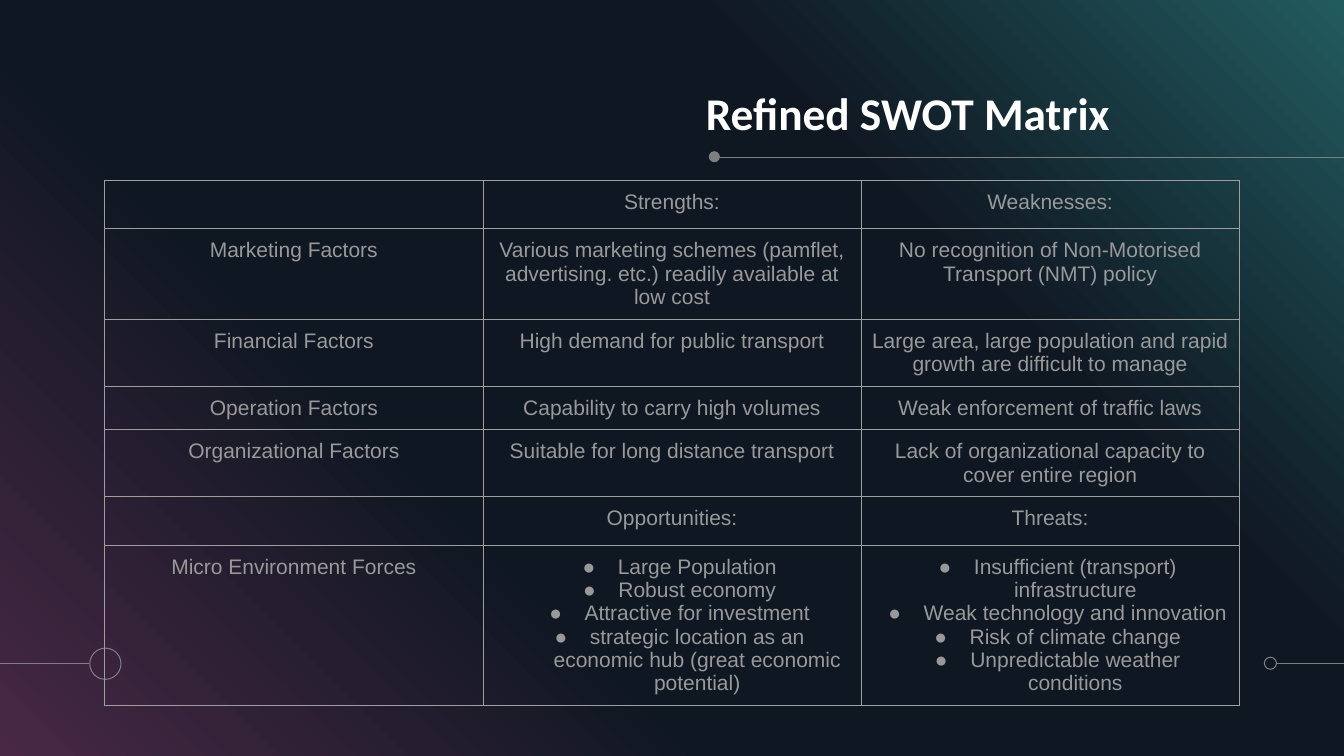
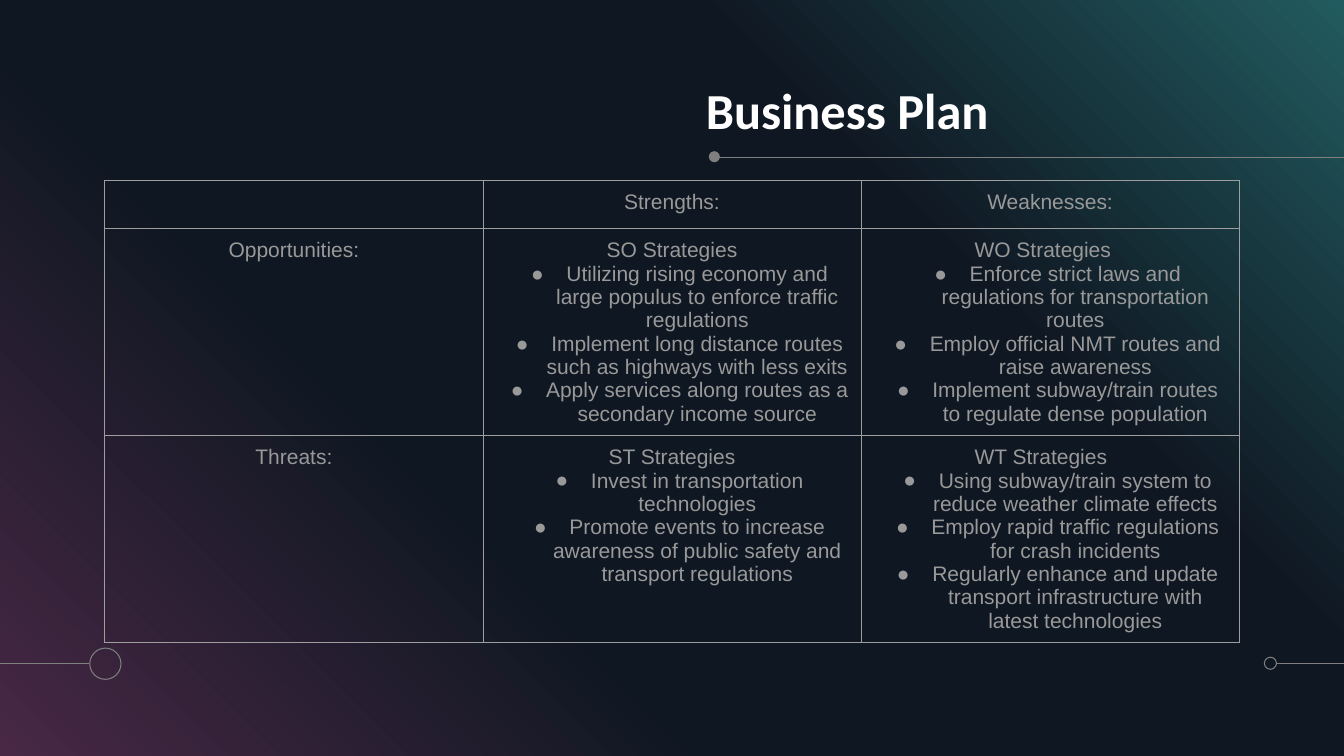
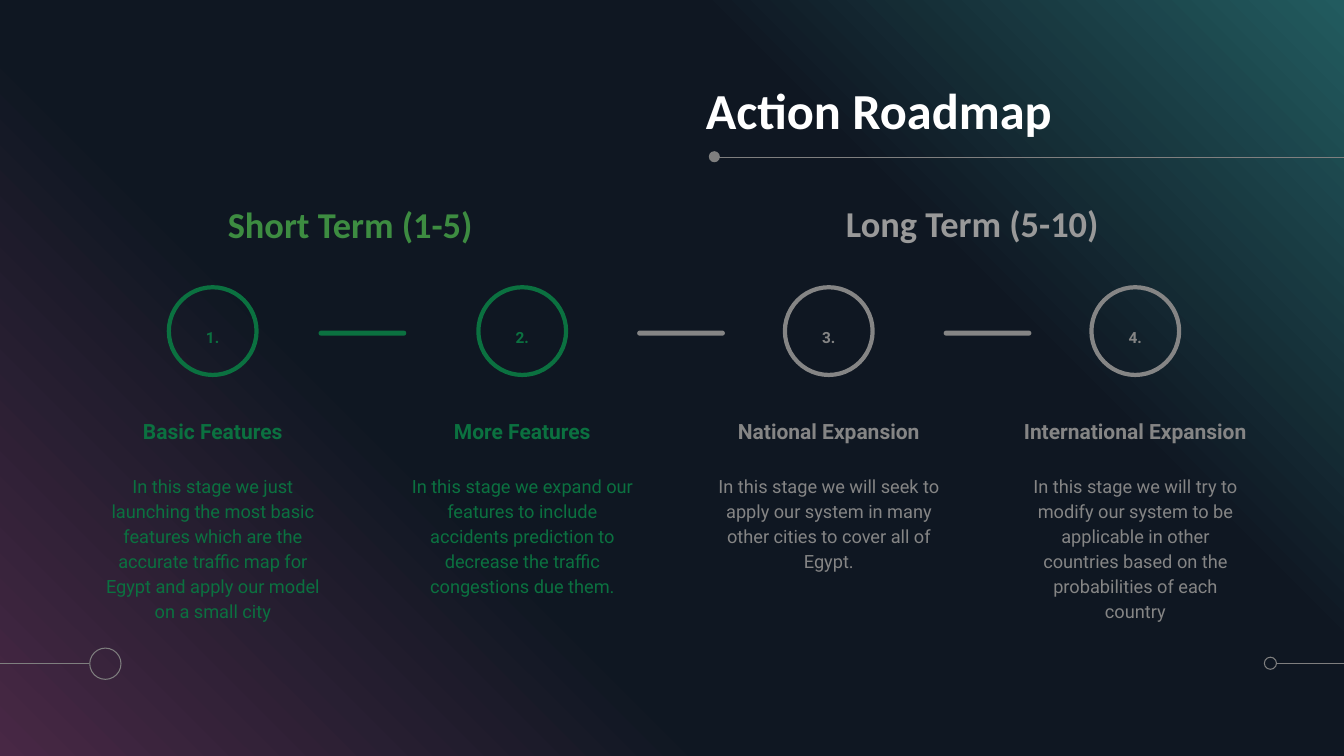
from lxml import etree
from pptx import Presentation
from pptx.dml.color import RGBColor
from pptx.enum import shapes, text
from pptx.oxml import ns
from pptx.util import Inches, Pt

PURPLE = RGBColor(0x48, 0x28, 0x45)
NAVY = RGBColor(0x0F, 0x17, 0x22)
TEAL = RGBColor(0x22, 0x5B, 0x5F)
WHITE = RGBColor(0xFF, 0xFF, 0xFF)
RULE_GRAY = RGBColor(0x7F, 0x7F, 0x7F)
TEXT_GRAY = RGBColor(0x99, 0x99, 0x99)
BORDER_GRAY = RGBColor(0x9E, 0x9E, 0x9E)
STEP_GRAY = RGBColor(0x85, 0x85, 0x85)
STEP_GREEN = RGBColor(0x0B, 0x71, 0x40)
HEADING_GREEN = RGBColor(0x3D, 0x8C, 0x41)

SLIDE_W, SLIDE_H = 13.33, 7.5
BACKDROP = [(0, PURPLE), (34, NAVY), (69, NAVY), (100, TEAL)]

SWOT_ROWS = [
    (0.48, ["", "Strengths:", "Weaknesses:"]),
    (0.9, ["Marketing Factors",
           "Various marketing schemes (pamflet, advertising. etc.) readily available at low cost",
           "No recognition of Non-Motorised Transport (NMT) policy"]),
    (0.66, ["Financial Factors", "High demand for public transport",
            "Large area, large population and rapid growth are difficult to manage"]),
    (0.43, ["Operation Factors", "Capability to carry high volumes",
            "Weak enforcement of traffic laws"]),
    (0.66, ["Organizational Factors", "Suitable for long distance transport",
            "Lack of organizational capacity to cover entire region"]),
    (0.48, ["", "Opportunities:", "Threats:"]),
    (1.59, ["Micro Environment Forces",
            ("", ["Large Population", "Robust economy", "Attractive for investment",
                  "strategic location as an economic hub (great economic potential)"]),
            ("", ["Insufficient (transport) infrastructure",
                  "Weak technology and innovation", "Risk of climate change",
                  "Unpredictable weather conditions"])]),
]

PLAN_ROWS = [
    (0.48, ["", "Strengths:", "Weaknesses:"]),
    (2.05, ["Opportunities:",
            ("SO Strategies",
             ["Utilizing rising economy and large populus to enforce traffic regulations",
              "Implement long distance routes such as highways with less exits",
              "Apply services along routes as a secondary income source"]),
            ("WO Strategies\t",
             ["Enforce strict laws and regulations for transportation routes",
              "Employ official NMT routes and raise awareness",
              "Implement subway/train routes to regulate dense population"])]),
    (2.05, ["Threats:",
            ("ST Strategies",
             ["Invest in transportation technologies",
              "Promote events to increase awareness of public safety and transport regulations"]),
            ("WT Strategies\t",
             ["Using subway/train system to reduce weather climate effects",
              "Employ rapid traffic regulations for crash incidents",
              "Regularly enhance and update transport infrastructure with latest technologies"])]),
]

STEPS = [
    (2.11, STEP_GREEN, "Basic Features",
     "In this stage we just launching the most basic features which are the accurate "
     "traffic map for Egypt and apply our model on a small city"),
    (5.18, STEP_GREEN, "More Features",
     "In this stage we expand our features to include accidents prediction to decrease "
     "the traffic congestions due them."),
    (8.22, STEP_GRAY, "National Expansion",
     "In this stage we will seek to apply our system in many other cities to cover all of Egypt."),
    (11.26, STEP_GRAY, "International Expansion",
     "In this stage we will try to modify our system to be applicable in other countries "
     "based on the probabilities of each country"),
]
BARS = [(3.16, STEP_GREEN), (6.32, STEP_GRAY), (9.36, STEP_GRAY)]
TERMS = [(1.02, 1.82, "Short Term (1-5)", HEADING_GREEN),
         (7.19, 1.81, "Long Term (5-10)", TEXT_GRAY)]


def style_paragraph(paragraph, font, size, color, bold=False, align=text.PP_ALIGN.CENTER,
                    spacing=None):
    paragraph.alignment = align
    if spacing:
        paragraph.line_spacing = spacing
    for run in paragraph.runs:
        run.font.name = font
        run.font.size = Pt(size)
        run.font.bold = bold
        run.font.color.rgb = color


def set_frame(frame, inset, anchor):
    frame.word_wrap = True
    frame.auto_size = text.MSO_AUTO_SIZE.NONE
    frame.vertical_anchor = anchor
    frame.margin_left = frame.margin_right = Inches(inset)
    frame.margin_top = frame.margin_bottom = Inches(inset)


def add_label(slide, box, words, font, size, color, bold=False, inset=0.13,
              anchor=text.MSO_ANCHOR.TOP, spacing=1.15):
    frame = slide.shapes.add_textbox(*map(Inches, box)).text_frame
    set_frame(frame, inset, anchor)
    frame.text = words
    style_paragraph(frame.paragraphs[0], font, size, color, bold, spacing=spacing)


def add_preset(slide, preset, box, fill=None, line=None, weight=0.75):
    preset_shape = slide.shapes.add_shape(preset, *map(Inches, box))
    preset_shape.shadow.inherit = False
    if fill is None:
        preset_shape.fill.background()
    else:
        preset_shape.fill.solid()
        preset_shape.fill.fore_color.rgb = fill
    if line is None:
        preset_shape.line.fill.background()
    else:
        preset_shape.line.color.rgb = line
        preset_shape.line.width = Pt(weight)
    return preset_shape


def add_rule(slide, left, right, y):
    rule = slide.shapes.add_connector(shapes.MSO_CONNECTOR.STRAIGHT, Inches(left), Inches(y),
                                      Inches(right), Inches(y))
    rule.line.color.rgb = RULE_GRAY
    rule.line.width = Pt(0.75)
    etree.SubElement(rule._element.spPr, ns.qn("a:effectLst"))


def prepare_layout(layout):
    fill = layout.background.fill
    fill.gradient()
    fill.gradient_angle = 45
    stops = fill._fill._gradFill.find(ns.qn("a:gsLst"))
    for stop in list(stops):
        stops.remove(stop)
    for percent, color in BACKDROP:
        stop = etree.SubElement(stops, ns.qn("a:gs"), pos=str(percent * 1000))
        etree.SubElement(stop, ns.qn("a:srgbClr"), val=str(color))
    title = layout.placeholders[0]
    title.left, title.top = Inches(7), Inches(0.77)
    title.width, title.height = Inches(4.91), Inches(0.62)


def add_titled_slide(deck, layout, heading, size=36):
    slide = deck.slides.add_slide(layout)
    oval = shapes.MSO_SHAPE.OVAL
    add_rule(slide, 7.12, SLIDE_W, 1.56)
    add_preset(slide, oval, (7.03, 1.5, 0.11, 0.11), fill=RULE_GRAY)
    add_rule(slide, 12.66, SLIDE_W, 6.58)
    add_preset(slide, oval, (12.54, 6.52, 0.12, 0.12), line=RULE_GRAY)
    add_rule(slide, 0, 0.88, 6.58)
    add_preset(slide, oval, (0.89, 6.43, 0.31, 0.31), line=RULE_GRAY)
    frame = slide.shapes.title.text_frame
    set_frame(frame, 0, text.MSO_ANCHOR.BOTTOM)
    frame.text = heading
    style_paragraph(frame.paragraphs[0], "Calibri", size, WHITE, True,
                    text.PP_ALIGN.LEFT, 0.9)
    return slide


def add_bullet(paragraph):
    properties = paragraph._p.get_or_add_pPr()
    properties.set("marL", str(Inches(0.5)))
    properties.set("indent", str(Inches(-0.35)))
    bullet_color = etree.SubElement(properties, ns.qn("a:buClr"))
    etree.SubElement(bullet_color, ns.qn("a:srgbClr"), val=str(TEXT_GRAY))
    etree.SubElement(properties, ns.qn("a:buFont"), typeface="Arial")
    etree.SubElement(properties, ns.qn("a:buChar"), char="●")


def add_borders(cell):
    properties = cell._tc.get_or_add_tcPr()
    for side in ("lnL", "lnR", "lnT", "lnB"):
        border = etree.SubElement(properties, ns.qn(f"a:{side}"), w=str(Pt(0.75)))
        border_fill = etree.SubElement(border, ns.qn("a:solidFill"))
        etree.SubElement(border_fill, ns.qn("a:srgbClr"), val=str(BORDER_GRAY))


def fill_cell(cell, content):
    add_borders(cell)
    cell.fill.background()
    if not content:
        return
    cell.margin_left = cell.margin_right = Inches(0.1)
    cell.margin_top = cell.margin_bottom = Inches(0.1)
    heading, bullets = (content, []) if isinstance(content, str) else content
    lines = ([heading] if heading else []) + bullets
    cell.text_frame.text = "\n".join(lines)
    for index, paragraph in enumerate(cell.text_frame.paragraphs):
        if index >= len(lines) - len(bullets):
            add_bullet(paragraph)
        style_paragraph(paragraph, "Arial", 15, TEXT_GRAY)


def add_matrix(slide, rows, left=1.04, top=1.79, column_width=3.75):
    columns = len(rows[0][1])
    height = sum(row_height for row_height, _ in rows)
    matrix = slide.shapes.add_table(len(rows), columns, Inches(left), Inches(top),
                                    Inches(column_width * columns), Inches(height)).table
    matrix.first_row = matrix.horz_banding = False
    for row_index, (row_height, contents) in enumerate(rows):
        matrix.rows[row_index].height = Inches(row_height)
        for column_index, content in enumerate(contents):
            fill_cell(matrix.cell(row_index, column_index), content)


def add_step(slide, number, center, color, heading, details, top=2.85):
    circle = add_preset(slide, shapes.MSO_SHAPE.OVAL, (center - 0.435, top, 0.87, 0.87),
                        line=color, weight=3)
    set_frame(circle.text_frame, 0, text.MSO_ANCHOR.MIDDLE)
    circle.text_frame.margin_top = Inches(0.1)
    circle.text_frame.text = f"{number}."
    style_paragraph(circle.text_frame.paragraphs[0], "Roboto", 11, color, True, spacing=1.15)
    left, width = center - 1.245, 2.49
    add_label(slide, (left, top + 1.03, width, 0.65), heading, "Roboto", 15, color, True,
              anchor=text.MSO_ANCHOR.BOTTOM)
    add_label(slide, (left, top + 1.7, width, 1.83), details, "Roboto", 13, color)


def add_roadmap(slide):
    for left, color in BARS:
        bar = add_preset(slide, shapes.MSO_SHAPE.ROUNDED_RECTANGLE, (left, 3.28, 0.87, 0.05),
                         fill=color)
        bar.adjustments[0] = 0.5
    for number, step in enumerate(STEPS, 1):
        add_step(slide, number, *step)
    for left, top, term, color in TERMS:
        add_label(slide, (left, top, 4.91, 0.62), term, "Calibri", 26, color, True, 0,
                  text.MSO_ANCHOR.BOTTOM, 0.9)


def main():
    deck = Presentation()
    deck.slide_width, deck.slide_height = Inches(SLIDE_W), Inches(SLIDE_H)
    layout = deck.slide_layouts[5]
    prepare_layout(layout)
    add_matrix(add_titled_slide(deck, layout, "Refined SWOT Matrix", 32.4), SWOT_ROWS)
    add_matrix(add_titled_slide(deck, layout, "Business Plan"), PLAN_ROWS)
    add_roadmap(add_titled_slide(deck, layout, "Action Roadmap"))
    deck.save("out.pptx")


if __name__ == "__main__":
    main()
